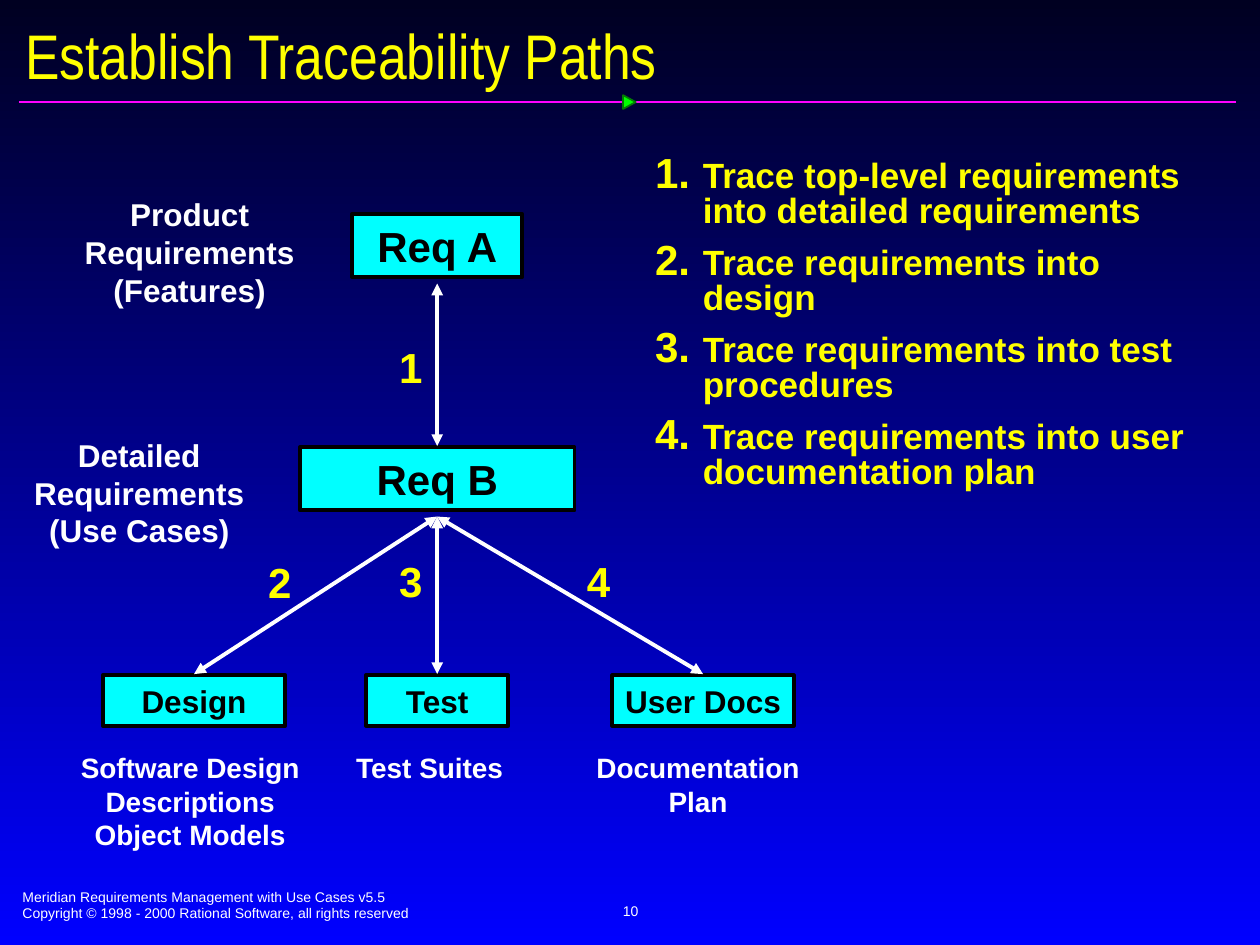
from dataclasses import dataclass

from lxml.etree import SubElement
from pptx import Presentation
from pptx.dml.color import RGBColor
from pptx.enum.shapes import MSO_CONNECTOR as Connector, MSO_SHAPE as Shape
from pptx.enum.text import MSO_ANCHOR as Anchor, MSO_AUTO_SIZE as AutoSize, PP_ALIGN as Align
from pptx.oxml.ns import qn
from pptx.util import Inches, Pt

WHITE = RGBColor(0xFF, 0xFF, 0xFF)
BLACK = RGBColor(0x00, 0x00, 0x00)
YELLOW = RGBColor(0xFF, 0xFF, 0x00)
CYAN = RGBColor(0x00, 0xFF, 0xFF)
MAGENTA = RGBColor(0xFF, 0x01, 0xFF)
GREEN = RGBColor(0x00, 0xFF, 0x00)
DARK_GREEN = RGBColor(0x03, 0x7C, 0x03)
NIGHT = RGBColor(0x00, 0x00, 0x21)
BLUE = RGBColor(0x00, 0x00, 0xFF)

COLUMNS, ROWS = 100, 75  # the slide's grid, one cell is a tenth of an inch


def cells(count):
    return Inches(count / 10)


@dataclass
class Box:
    """An area of the slide, in grid columns and rows."""
    left: float
    top: float
    width: float
    height: float

    @property
    def center(self):
        return self.left + self.width / 2

    @property
    def bottom(self):
        return self.top + self.height

    @property
    def emu(self):
        return [cells(side) for side in (self.left, self.top, self.width, self.height)]

    def inner(self, left, top, width, height):
        return Box(self.left + left, self.top + top, width, height)

    def centered(self, center, top, width, height):
        return self.inner(center - width / 2, top, width, height)


def style(para, size, color, bold=False, align=Align.LEFT, name="Arial"):
    para.alignment = align
    font = para.font
    font.name, font.size, font.bold = name, Pt(size), bold
    font.color.rgb = color


def add_text(page, box, text, size, color, bold=False, align=Align.CENTER, wrap=True):
    frame = page.shapes.add_textbox(*box.emu).text_frame
    frame.word_wrap = wrap
    frame.text = text
    for para in frame.paragraphs:
        style(para, size, color, bold, align)
    return frame


def add_line(page, start, end, color, width, arrows=False):
    line = page.shapes.add_connector(Connector.STRAIGHT, *map(cells, (*start, *end)))
    line.line.color.rgb = color
    line.line.width = Pt(width)
    if arrows:
        stroke = line.line._get_or_add_ln()
        for tag in ("a:headEnd", "a:tailEnd"):
            SubElement(stroke, qn(tag), type="triangle")
    SubElement(line._element.spPr, qn("a:effectLst"))


def add_filled(page, kind, box, fill, outline, width):
    shape = page.shapes.add_shape(kind, *box.emu)
    shape.shadow.inherit = False
    shape.fill.solid()
    shape.fill.fore_color.rgb = fill
    shape.line.color.rgb = outline
    shape.line.width = Pt(width)
    return shape


def add_node(page, box, text, size):
    node = add_filled(page, Shape.RECTANGLE, box, CYAN, BLACK, 2.25)
    frame = node.text_frame
    frame.word_wrap = False
    frame.vertical_anchor = Anchor.MIDDLE
    frame.text = text
    style(frame.paragraphs[0], size, BLACK, True, Align.CENTER)


def fill_background(page):
    fill = page.background.fill
    fill.gradient()
    fill.gradient_angle = 270
    for stop, color in zip(fill.gradient_stops, (NIGHT, BLUE)):
        stop.color.rgb = color


def add_header(page, box):
    title = page.shapes.title
    title.left, title.top, title.width, title.height = box.inner(1, 1.4, 98.4, 5.8).emu
    frame = title.text_frame
    frame.text = "Establish Traceability Paths"
    frame.auto_size = AutoSize.NONE
    frame.vertical_anchor = Anchor.MIDDLE
    style(frame.paragraphs[0], 36, YELLOW, name="Arial Narrow")

    rule = box.top + 8.1
    add_line(page, (box.left + 1.5, rule), (box.left + 98.1, rule), MAGENTA, 1)
    marker = add_filled(page, Shape.ISOSCELES_TRIANGLE, box.inner(49.4, 7.6, 1.1, 1),
                        GREEN, DARK_GREEN, 1)
    marker.rotation = 90


def add_diagram(page, box):
    axis = 34.7
    req_a = box.centered(axis, 2, 13.5, 5)
    req_b = box.centered(axis, 20.5, 21.8, 5)
    add_node(page, req_a, "Req A", 24)
    add_node(page, req_b, "Req B", 24)

    for center, top, text in ((15.05, 0, "Product\vRequirements\n(Features)"),
                              (11.05, 19.1, "Detailed\vRequirements\v(Use Cases)")):
        add_text(page, box.centered(center, top, 18.7, 10), text, 18, WHITE, True, wrap=False)

    links = [(req_a, req_b)]
    leaves = (
        (15.4, 14.5, "Design", 15.1, 22, "Software Design Descriptions\vObject Models"),
        (axis, 11.3, "Test", 34.1, 16.2, "Test Suites"),
        (55.8, 14.4, "User Docs", 55.4, 20.2, "Documentation Plan"),
    )
    for center, width, name, label_center, label_width, label in leaves:
        leaf = box.centered(center, 38.6, width, 4)
        add_node(page, leaf, name, 18)
        add_text(page, box.centered(label_center, 44.1, label_width, 6.3), label, 16, WHITE, True)
        links.append((req_b, leaf))

    for upper, lower in links:
        add_line(page, (upper.center, upper.bottom + 0.5), (lower.center, lower.top - 0.1),
                 WHITE, 2.25, arrows=True)

    places = ((32.6, 11.6), (22.2, 28.7), (32.6, 28.6), (47.5, 28.6))
    for number, (center, top) in enumerate(places, 1):
        add_text(page, box.centered(center, top, 3.9, 5), str(number), 24, YELLOW, True, wrap=False)


def add_steps(page, box):
    steps = ("Trace top-level requirements into detailed requirements",
             "Trace requirements into design",
             "Trace requirements into test procedures",
             "Trace requirements into user documentation plan")
    frame = page.shapes.add_textbox(*box.emu).text_frame
    frame.word_wrap = True
    for number, step in enumerate(steps, 1):
        para = frame.paragraphs[0] if number == 1 else frame.add_paragraph()
        props = para._p.get_or_add_pPr()
        props.set("marL", str(cells(3.8)))
        props.set("indent", str(cells(-3.8)))
        para.line_spacing = 0.8
        para.space_before = Pt(0 if number == 1 else 7.5)
        style(para, 20, YELLOW, True)
        for text, size in ((f"{number}.\t", 24), (step, 20)):
            span = para.add_run()
            span.text = text
            span.font.size = Pt(size)


def add_footer(page, box):
    add_text(page, box.inner(0.8, 0.2, 51, 3.7),
             "Meridian Requirements Management with Use Cases v5.5\n"
             "Copyright © 1998 - 2000 Rational Software, all rights reserved",
             8, WHITE, align=Align.LEFT)
    number = add_text(page, box.inner(34.2, 0, 31.7, 5), "10", 8, WHITE, wrap=False)
    number.vertical_anchor = Anchor.MIDDLE


def main():
    deck = Presentation()
    deck.slide_width, deck.slide_height = cells(COLUMNS), cells(ROWS)
    page = deck.slides.add_slide(deck.slide_layouts[5])
    fill_background(page)
    add_header(page, Box(0, 0, COLUMNS, 9))
    add_diagram(page, Box(0, 15, 66, 54))
    add_steps(page, Box(51, 11.9, 46.5, 35.2))
    add_footer(page, Box(0, 69.8, COLUMNS, 5.2))
    deck.save("out.pptx")


if __name__ == "__main__":
    main()
